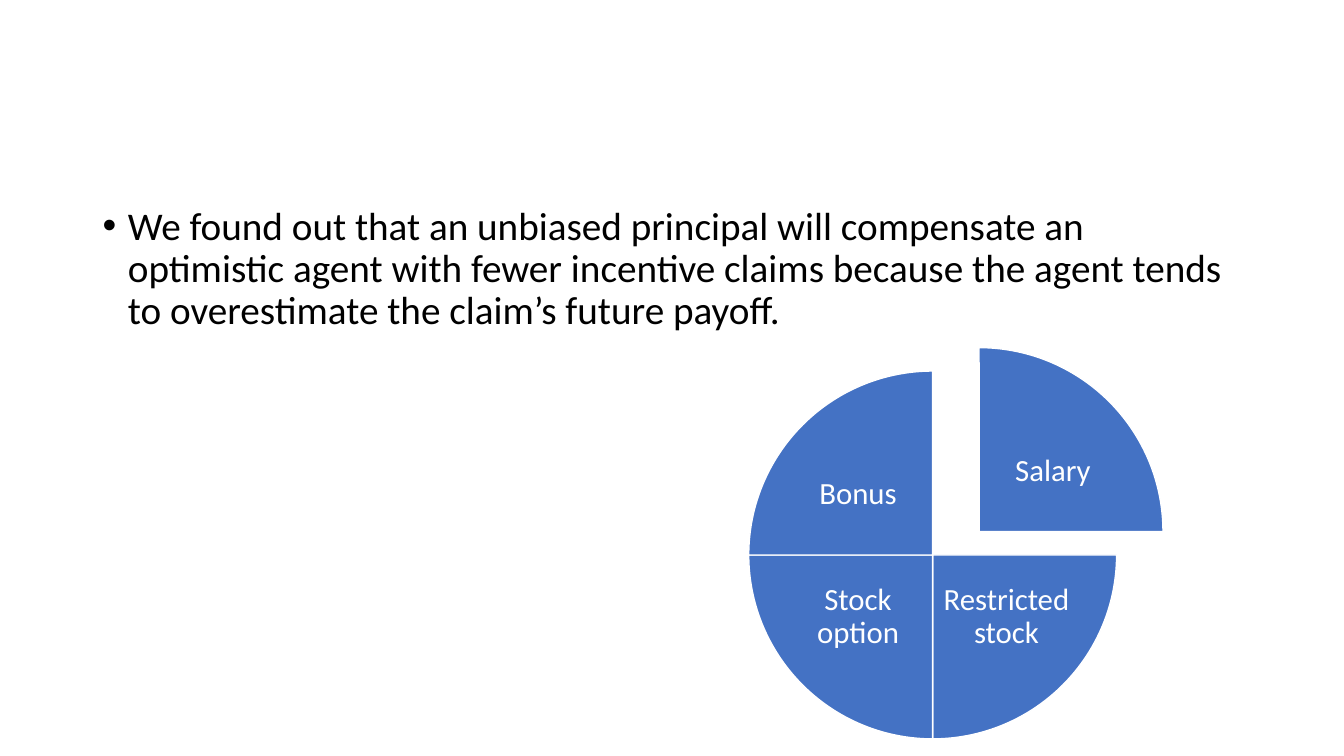
"""Build a slide on incentive pay with a four-part compensation pie."""
from lxml import etree
from pptx import Presentation
from pptx import util as u
from pptx.dml.color import RGBColor
from pptx.enum import shapes, text
from pptx.oxml.ns import qn

BLACK = RGBColor(0x00, 0x00, 0x00)
WHITE = RGBColor(0xFF, 0xFF, 0xFF)
BLUE = RGBColor(0x44, 0x72, 0xC4)

PIE_LEFT, PIE_TOP, DIAMETER = 18.87, 9.35, 9.27
LABEL_WIDTH, LABEL_HEIGHT = 3.43, 2.77
LABEL_COLUMNS = (1.04, 4.78)
LABEL_ROWS = (1.73, 4.82)
QUARTER = 54

# name, start quarter, label column, label row, pull to the right, pull down
SLICES = [
    ("Salary", 3, 1, 0, 1.17, -0.59),
    ("Restricted stock", 0, 1, 1, 0, 0),
    ("Stock option", 1, 0, 1, 0, 0),
    ("Bonus", 2, 0, 0, 0, 0),
]


def apply(target, values):
    for name, value in values.items():
        setattr(target, name, value)


class SlideBuilder:
    body_font = {"name": "Calibri", "size": u.Pt(28)}
    label_font = {"name": "Calibri", "size": u.Pt(22)}
    label_frame = {
        "word_wrap": True,
        "vertical_anchor": text.MSO_ANCHOR.MIDDLE,
        **{f"margin_{side}": u.Cm(0.08) for side in ("left", "right", "top", "bottom")},
    }

    def __init__(self, presentation):
        self.slide = presentation.slides.add_slide(presentation.slide_layouts[1])
        title = self.slide.shapes.title.element
        title.getparent().remove(title)

    def body(self, wording, left, top, width, height):
        shape = self.slide.placeholders[1]
        apply(shape, {"left": u.Cm(left), "top": u.Cm(top),
                      "width": u.Cm(width), "height": u.Cm(height)})
        frame = shape.text_frame
        frame.text = wording
        frame.auto_size = text.MSO_AUTO_SIZE.NONE
        paragraph = frame.paragraphs[0]
        apply(paragraph, {"line_spacing": 0.9, "space_before": u.Pt(0)})
        properties = paragraph._p.get_or_add_pPr()
        properties.set("marL", str(u.Cm(0.64)))
        properties.set("indent", str(u.Cm(-0.64)))
        etree.SubElement(properties, qn("a:buFont")).set("typeface", "Arial")
        etree.SubElement(properties, qn("a:buChar")).set("char", "•")
        apply(paragraph.font, self.body_font)
        paragraph.font.color.rgb = BLACK

    def pie_slice(self, group, left, top, start):
        shape = group.shapes.add_shape(
            shapes.MSO_SHAPE.PIE, u.Cm(left), u.Cm(top), u.Cm(DIAMETER), u.Cm(DIAMETER))
        shape.shadow.inherit = False
        shape.adjustments[0] = start * QUARTER
        shape.adjustments[1] = (start + 1) % 4 * QUARTER
        shape.fill.solid()
        shape.fill.fore_color.rgb = BLUE
        shape.line.color.rgb = WHITE
        shape.line.width = u.Pt(1)

    def label(self, group, wording, left, top):
        shape = group.shapes.add_textbox(
            u.Cm(left), u.Cm(top), u.Cm(LABEL_WIDTH), u.Cm(LABEL_HEIGHT))
        frame = shape.text_frame
        apply(frame, self.label_frame)
        frame.text = wording
        paragraph = frame.paragraphs[0]
        apply(paragraph, {"alignment": text.PP_ALIGN.CENTER, "line_spacing": 0.9})
        apply(paragraph.font, self.label_font)
        paragraph.font.color.rgb = WHITE

    def pie(self, slices):
        group = self.slide.shapes.add_group_shape()
        for name, start, column, row, right, down in slices:
            left, top = PIE_LEFT + right, PIE_TOP + down
            self.pie_slice(group, left, top, start)
            self.label(group, name, left + LABEL_COLUMNS[column], top + LABEL_ROWS[row])


def main():
    presentation = Presentation()
    presentation.slide_width = u.Cm(33.87)
    presentation.slide_height = u.Cm(19.05)
    builder = SlideBuilder(presentation)
    builder.body(
        "We found out that an unbiased principal will compensate an optimistic agent "
        "with fewer incentive claims because the agent tends to overestimate the "
        "claim’s future payoff.",
        2.33, 5.07, 29.21, 12.09)
    builder.pie(SLICES)
    presentation.save("out.pptx")


if __name__ == "__main__":
    main()
